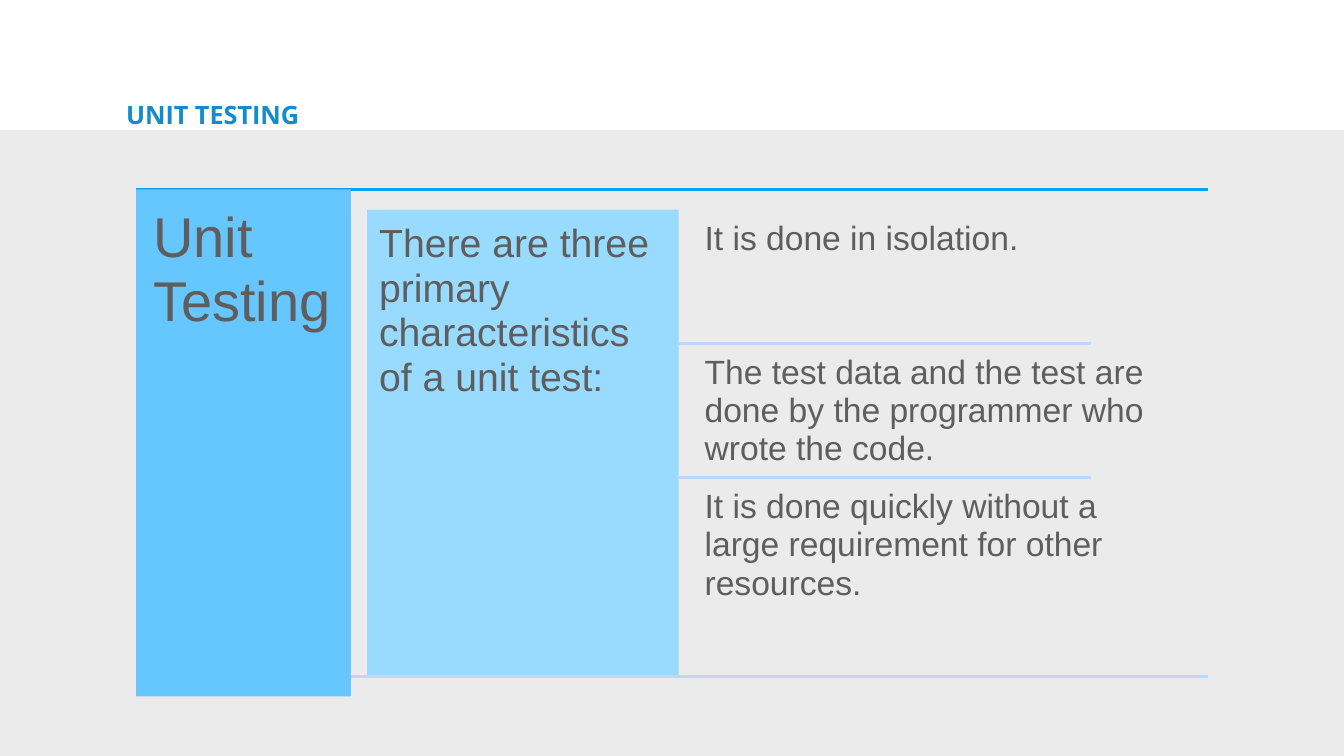
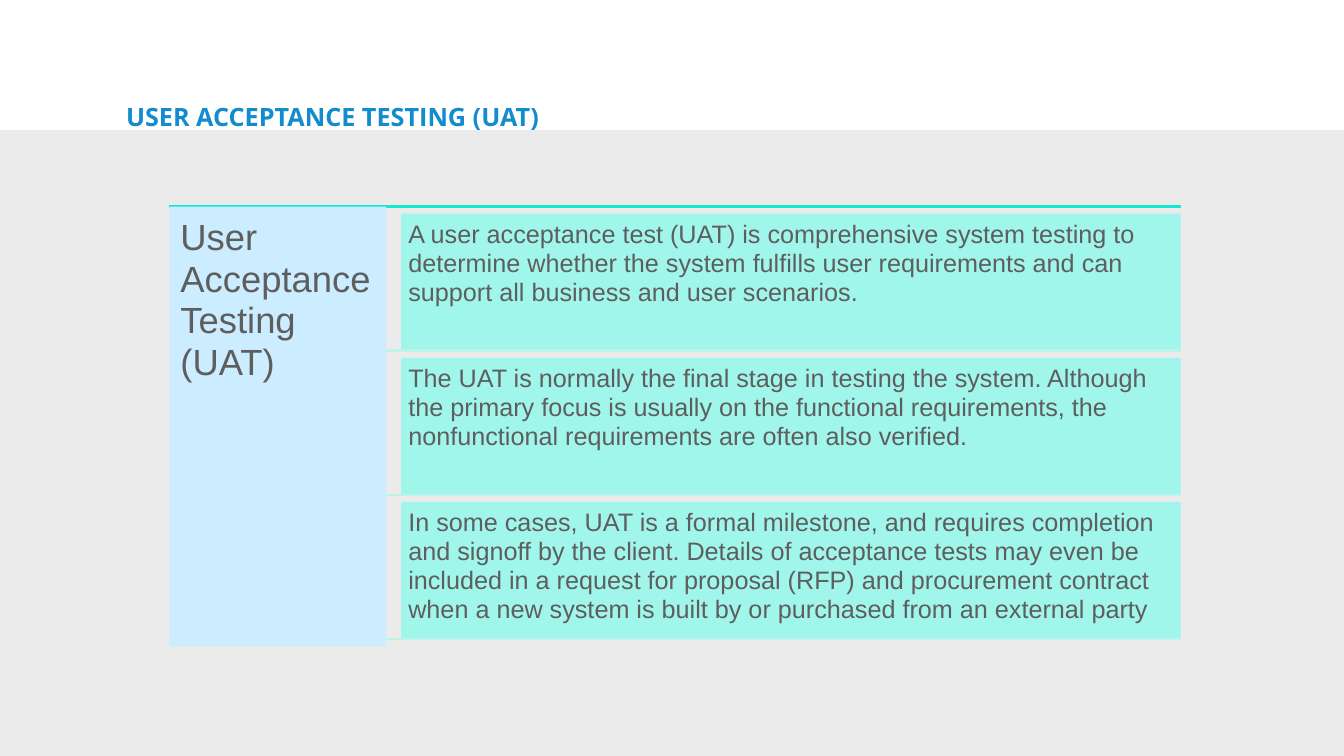
from dataclasses import dataclass

from lxml import etree
from pptx import Presentation
from pptx.dml.color import RGBColor
from pptx.enum.shapes import MSO_CONNECTOR, MSO_SHAPE
from pptx.enum.text import MSO_ANCHOR, PP_ALIGN
from pptx.oxml.ns import qn
from pptx.shapes.autoshape import Shape
from pptx.slide import Slide
from pptx.util import Emu, Pt

RECTANGLE = MSO_SHAPE.RECTANGLE
STRAIGHT = MSO_CONNECTOR.STRAIGHT
TOP = MSO_ANCHOR.TOP
LEFT = PP_ALIGN.LEFT

# Lengths are in px, 100 to the inch
EMU_PER_PX = 9144
SLIDE_W, SLIDE_H = 1333, 750
BAND_TOP = 129

BAND = "EBEBEB"
TITLE = "128CCD"
BODY = "5E5E5E"


@dataclass(frozen=True)
class Box:
    left: int
    top: int
    width: int
    height: int

    @property
    def right(self) -> int:
        return self.left + self.width

    @property
    def bottom(self) -> int:
        return self.top + self.height


@dataclass(frozen=True)
class Panel:
    text: str
    box: Box
    size: int
    inset: int
    fill: str | None = None


def px(length: int) -> Emu:
    return Emu(length * EMU_PER_PX)


def color(value: str) -> RGBColor:
    return RGBColor.from_string(value)


def write(shape: Shape, text: str, *, size: int, inset: int, font: str = "Arial",
          ink: str = BODY, bold: bool = False, spacing: float = 0.95) -> None:
    frame = shape.text_frame
    frame.word_wrap = True
    frame.vertical_anchor = TOP
    frame.margin_left = frame.margin_right = px(inset)
    frame.margin_top = frame.margin_bottom = px(inset)
    paragraph = frame.paragraphs[0]
    paragraph.alignment = LEFT
    paragraph.line_spacing = spacing
    run = paragraph.add_run()
    run.text = text
    run.font.name = font
    run.font.size = Pt(size)
    run.font.bold = bold
    run.font.color.rgb = color(ink)


def add_box(slide: Slide, box: Box, fill: str | None = None) -> Shape:
    place = px(box.left), px(box.top), px(box.width), px(box.height)
    if fill is None:
        return slide.shapes.add_textbox(*place)
    shape = slide.shapes.add_shape(RECTANGLE, *place)
    shape.shadow.inherit = False
    shape.fill.solid()
    shape.fill.fore_color.rgb = color(fill)
    shape.line.fill.background()
    return shape


def add_panel(slide: Slide, panel: Panel) -> None:
    write(add_box(slide, panel.box, panel.fill), panel.text,
          size=panel.size, inset=panel.inset)


def add_rule(slide: Slide, left: int, right: int, y: int, ink: str) -> None:
    rule = slide.shapes.add_connector(STRAIGHT, px(left), px(y), px(right), px(y))
    rule.line.color.rgb = color(ink)
    rule.line.width = Pt(2)
    etree.SubElement(rule._element.spPr, qn("a:effectLst"))


def add_page(deck: Presentation, title: str, title_box: Box) -> Slide:
    """Blank slide with the grey band and the title above it."""
    slide = deck.slides.add_slide(deck.slide_layouts[6])
    add_box(slide, Box(0, BAND_TOP, SLIDE_W + 1, SLIDE_H - BAND_TOP), BAND)
    write(add_box(slide, title_box), title, size=18, inset=6,
          font="Open Sans", ink=TITLE, bold=True, spacing=1.15)
    return slide


def build_unit_testing(deck: Presentation) -> None:
    slide = add_page(deck, "UNIT TESTING", Box(119, 88, 805, 41))
    topic = Box(135, 188, 213, 503)
    intro = Box(364, 208, 309, 463)
    frame_right, divider_right = 1198, 1082
    divider_ink = "BDD7FF"

    # Topic and introduction
    add_rule(slide, topic.left, frame_right, topic.top, "00A2FF")
    add_panel(slide, Panel("Unit Testing", topic, 40, 17, "66C7FF"))
    add_panel(slide, Panel("There are three primary characteristics of a unit test:",
                           intro, 28, 12, "99DAFF"))

    # Characteristics, with dividers between them
    characteristics = (
        "It is done in isolation.",
        "The test data and the test are done by the programmer who wrote the code.",
        "It is done quickly without a large requirement for other resources.",
    )
    row_height = 133
    for index, text in enumerate(characteristics):
        row = Box(689, intro.top + index * row_height, 488, row_height)
        if index:
            add_rule(slide, intro.right, divider_right, row.top, divider_ink)
        add_panel(slide, Panel(text, row, 24, 10))
    add_rule(slide, topic.right, frame_right, intro.bottom, divider_ink)


def build_acceptance_testing(deck: Presentation) -> None:
    slide = add_page(deck, "USER ACCEPTANCE TESTING (UAT)", Box(119, 90, 805, 35))
    topic = Box(168, 205, 215, 436)
    frame_right = 1171

    # Topic
    add_rule(slide, topic.left, frame_right, topic.top, "16E7CF")
    add_panel(slide, Panel("User Acceptance Testing (UAT)", topic, 26, 11, "CCECFF"))

    # Statements, each underlined
    statements = (
        "A user acceptance test (UAT) is comprehensive system testing to determine "
        "whether the system fulfills user requirements and can support all business "
        "and user scenarios.",
        "The UAT is normally the final stage in testing the system. Although the "
        "primary focus is usually on the functional requirements, the nonfunctional "
        "requirements are often also verified.",
        "In some cases, UAT is a formal milestone, and requires completion and signoff "
        "by the client. Details of acceptance tests may even be included in a request "
        "for proposal (RFP) and procurement contract when a new system is built by or "
        "purchased from an external party",
    )
    row_height, gap = 136, 7
    for index, text in enumerate(statements):
        row = Box(398, topic.top + gap + index * (row_height + gap), 773, row_height)
        add_panel(slide, Panel(text, row, 18, 7, "A1F6EC"))
        add_rule(slide, topic.right, frame_right, row.bottom, "BDF3E9")


def main() -> None:
    deck = Presentation()
    deck.slide_width, deck.slide_height = px(SLIDE_W), px(SLIDE_H)
    build_unit_testing(deck)
    build_acceptance_testing(deck)
    deck.save("out.pptx")


if __name__ == "__main__":
    main()
